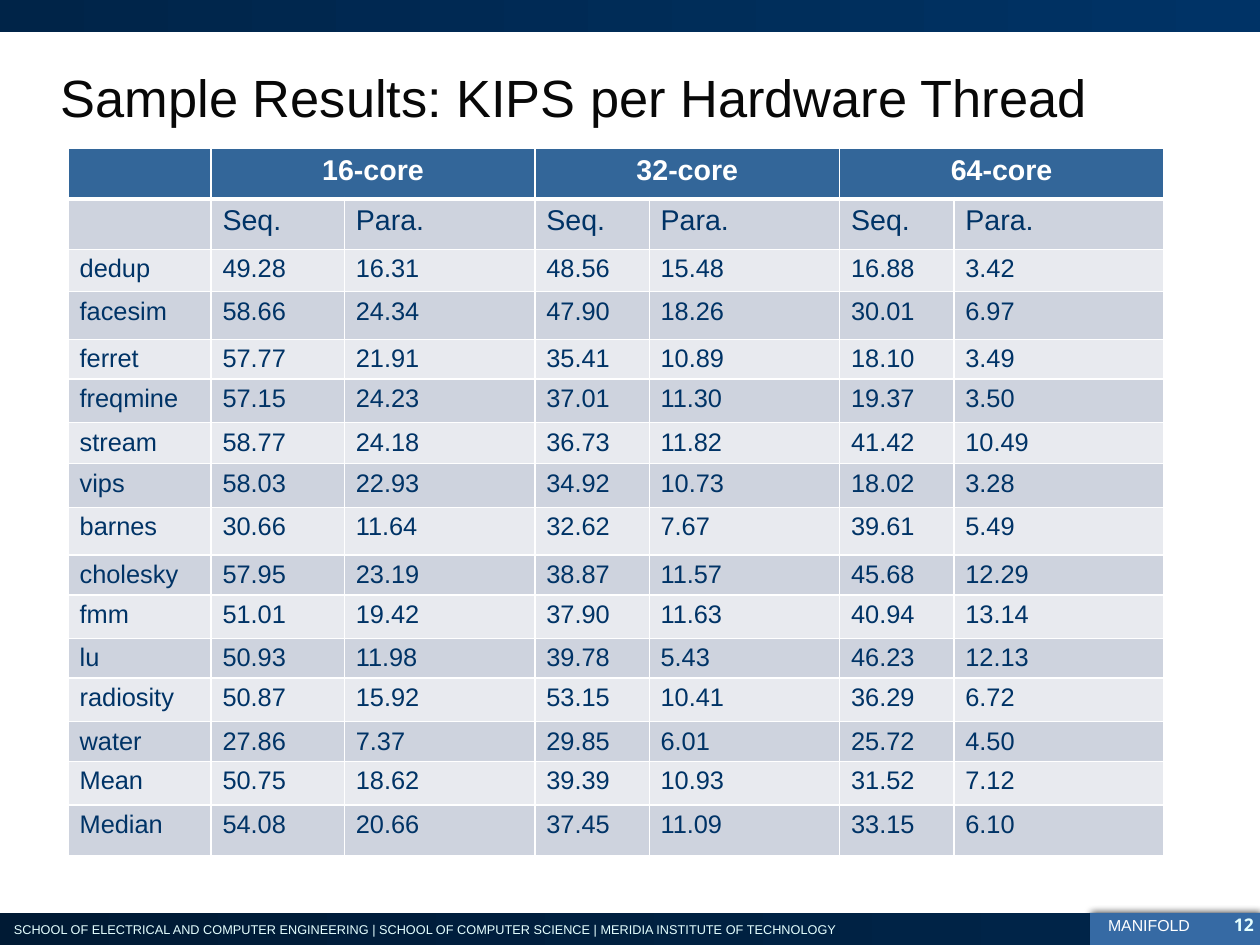
import lxml.etree
import pptx
import pptx.dml.color
import pptx.enum.shapes
import pptx.enum.text
import pptx.oxml.ns
import pptx.util

Pt = pptx.util.Pt
qn = pptx.oxml.ns.qn
RGBColor = pptx.dml.color.RGBColor
PP_ALIGN = pptx.enum.text.PP_ALIGN
MSO_ANCHOR = pptx.enum.text.MSO_ANCHOR
MSO_AUTO_SIZE = pptx.enum.text.MSO_AUTO_SIZE

WHITE = RGBColor(0xFF, 0xFF, 0xFF)
BLACK = RGBColor(0x00, 0x00, 0x00)
TITLE_BLACK = RGBColor(0x08, 0x08, 0x08)
PALE_CYAN = RGBColor(0xE5, 0xFF, 0xFF)
DEEP_NAVY = RGBColor(0x00, 0x1A, 0x34)
DARK_NAVY = RGBColor(0x00, 0x24, 0x48)
NAVY = RGBColor(0x00, 0x33, 0x66)
TAG_BLUE = RGBColor(0x36, 0x6A, 0xA4)
HEADER_BLUE = RGBColor(0x33, 0x66, 0x99)
BAND_DARK = RGBColor(0xCE, 0xD3, 0xDE)
BAND_LIGHT = RGBColor(0xE8, 0xEA, 0xEF)

SLIDE_WIDTH, SLIDE_HEIGHT = 793.77, 595.25
BAR_HEIGHT = 20.2
BAR_TOP = SLIDE_HEIGHT - BAR_HEIGHT
TAG_LEFT = 686.4

COLUMN_WIDTHS = [90, 84, 120, 72, 120, 72, 132]
ROW_HEIGHTS = [31.7, 31.7, 26.6, 30.2, 23.8, 27.4, 25.9, 27.4,
               30.2, 23.8, 27.4, 23.8, 27.4, 23.8, 27.4, 31.7]
CORE_COUNTS = ["16-core", "32-core", "64-core"]
RESULTS = """
dedup 49.28 16.31 48.56 15.48 16.88 3.42
facesim 58.66 24.34 47.90 18.26 30.01 6.97
ferret 57.77 21.91 35.41 10.89 18.10 3.49
freqmine 57.15 24.23 37.01 11.30 19.37 3.50
stream 58.77 24.18 36.73 11.82 41.42 10.49
vips 58.03 22.93 34.92 10.73 18.02 3.28
barnes 30.66 11.64 32.62 7.67 39.61 5.49
cholesky 57.95 23.19 38.87 11.57 45.68 12.29
fmm 51.01 19.42 37.90 11.63 40.94 13.14
lu 50.93 11.98 39.78 5.43 46.23 12.13
radiosity 50.87 15.92 53.15 10.41 36.29 6.72
water 27.86 7.37 29.85 6.01 25.72 4.50
Mean 50.75 18.62 39.39 10.93 31.52 7.12
Median 54.08 20.66 37.45 11.09 33.15 6.10
"""


def apply_format(target, values):
    for name, value in values.items():
        setattr(target, name, value)


def write_text(frame, text, size, color, bold=False, font="Arial", **paragraph_format):
    paragraph = frame.paragraphs[0]
    apply_format(paragraph, paragraph_format)
    run = paragraph.add_run()
    apply_format(run, {"text": text})
    apply_format(run.font, {"name": font, "size": Pt(size), "bold": bold})
    run.font.color.rgb = color


def add_text(slide, box, text, size, color, margins=(7.2, 3.6),
             frame_format=None, **text_format):
    frame = slide.shapes.add_textbox(*map(Pt, box)).text_frame
    side, edge = map(Pt, margins)
    apply_format(frame, {"margin_left": side, "margin_right": side,
                         "margin_top": edge, "margin_bottom": edge,
                         "word_wrap": True, **(frame_format or {})})
    write_text(frame, text, size, color, **text_format)


def add_bar(slide, box, colors):
    shape = slide.shapes.add_shape(pptx.enum.shapes.MSO_SHAPE.RECTANGLE, *map(Pt, box))
    shape.shadow.inherit = False
    shape.line.fill.background()
    if len(colors) == 1:
        shape.fill.solid()
        shape.fill.fore_color.rgb = colors[0]
    else:
        shape.fill.gradient()
        shape.fill.gradient_angle = 0
        for stop, color in zip(shape.fill.gradient_stops, colors):
            stop.color.rgb = color
    return shape


def add_shadow(shape):
    effects = shape.element.spPr.find(qn("a:effectLst"))
    shadow = lxml.etree.SubElement(effects, qn("a:outerShdw"),
                                   blurRad=str(Pt(5)), dist=str(Pt(1)), dir="0")
    color = lxml.etree.SubElement(shadow, qn("a:srgbClr"), val=str(BLACK))
    lxml.etree.SubElement(color, qn("a:alpha"), val="75000")


def style_cell(cell, fill, top=1, bottom=1):
    apply_format(cell, {"margin_top": Pt(4.8), "margin_bottom": Pt(2.4)})
    properties = cell._tc.get_or_add_tcPr()
    for side, width in {"L": 1, "R": 1, "T": top, "B": bottom}.items():
        line = lxml.etree.SubElement(properties, qn("a:ln" + side), w=str(Pt(width)))
        solid = lxml.etree.SubElement(line, qn("a:solidFill"))
        lxml.etree.SubElement(solid, qn("a:srgbClr"), val=str(WHITE))
    cell.fill.solid()
    cell.fill.fore_color.rgb = fill


def add_results_table(slide):
    rows = [["", *(text for core in CORE_COUNTS for text in (core, ""))],
            ["", *["Seq.", "Para."] * len(CORE_COUNTS)],
            *(line.split() for line in RESULTS.strip().splitlines())]
    table = slide.shapes.add_table(
        len(rows), len(COLUMN_WIDTHS), Pt(43), Pt(93.6),
        Pt(sum(COLUMN_WIDTHS)), Pt(sum(ROW_HEIGHTS))).table
    apply_format(table, {"first_row": False, "horz_banding": False})
    for column, width in zip(table.columns, COLUMN_WIDTHS):
        column.width = Pt(width)
    for row, height in zip(table.rows, ROW_HEIGHTS):
        row.height = Pt(height)
    for left in range(1, len(COLUMN_WIDTHS), 2):
        table.cell(0, left).merge(table.cell(0, left + 1))

    for row_index, texts in enumerate(rows):
        header = row_index == 0
        band = BAND_DARK if row_index % 2 else BAND_LIGHT
        for column_index, text in enumerate(texts):
            cell = table.cell(row_index, column_index)
            style_cell(cell, HEADER_BLUE if header else band,
                       top=3 if row_index == 1 else 1, bottom=3 if header else 1)
            if text:
                write_text(cell.text_frame, text, 18 if row_index < 2 else 16,
                           WHITE if header else NAVY, bold=header, line_spacing=0.93,
                           alignment=PP_ALIGN.CENTER if header else PP_ALIGN.LEFT)


def main():
    presentation = pptx.Presentation()
    apply_format(presentation, {"slide_width": Pt(SLIDE_WIDTH),
                                "slide_height": Pt(SLIDE_HEIGHT)})
    slide = presentation.slides.add_slide(presentation.slide_layouts[6])
    fitted = {"word_wrap": False, "auto_size": MSO_AUTO_SIZE.SHAPE_TO_FIT_TEXT}

    add_shadow(add_bar(slide, (TAG_LEFT, BAR_TOP, SLIDE_WIDTH - TAG_LEFT, BAR_HEIGHT),
                       [TAG_BLUE]))
    add_bar(slide, (0, BAR_TOP, TAG_LEFT, BAR_HEIGHT), [DEEP_NAVY, DARK_NAVY])
    add_text(slide, (0.7, 576.7, 542, 18),
             "SCHOOL OF ELECTRICAL AND COMPUTER ENGINEERING | SCHOOL OF COMPUTER SCIENCE"
             " | MERIDIA INSTITUTE OF TECHNOLOGY",
             8, PALE_CYAN, margins=(8, 4), frame_format=fitted)
    add_bar(slide, (0, 0, SLIDE_WIDTH, BAR_HEIGHT), [DARK_NAVY, NAVY])
    add_text(slide, (691, 574.6, 67, 18.7), "MANIFOLD", 10, WHITE,
             frame_format=fitted, line_spacing=0.93)
    add_text(slide, (30.4, 19.8, 738, 82), "Sample Results: KIPS per Hardware Thread",
             33, TITLE_BLACK, margins=(8, 4),
             frame_format={"vertical_anchor": MSO_ANCHOR.MIDDLE})
    add_results_table(slide)
    add_text(slide, (758.9, 572, 31, 18.7), "12", 11, PALE_CYAN, margins=(0, 4),
             bold=True, font="Noto Sans", alignment=PP_ALIGN.RIGHT)
    presentation.save("out.pptx")


main()
